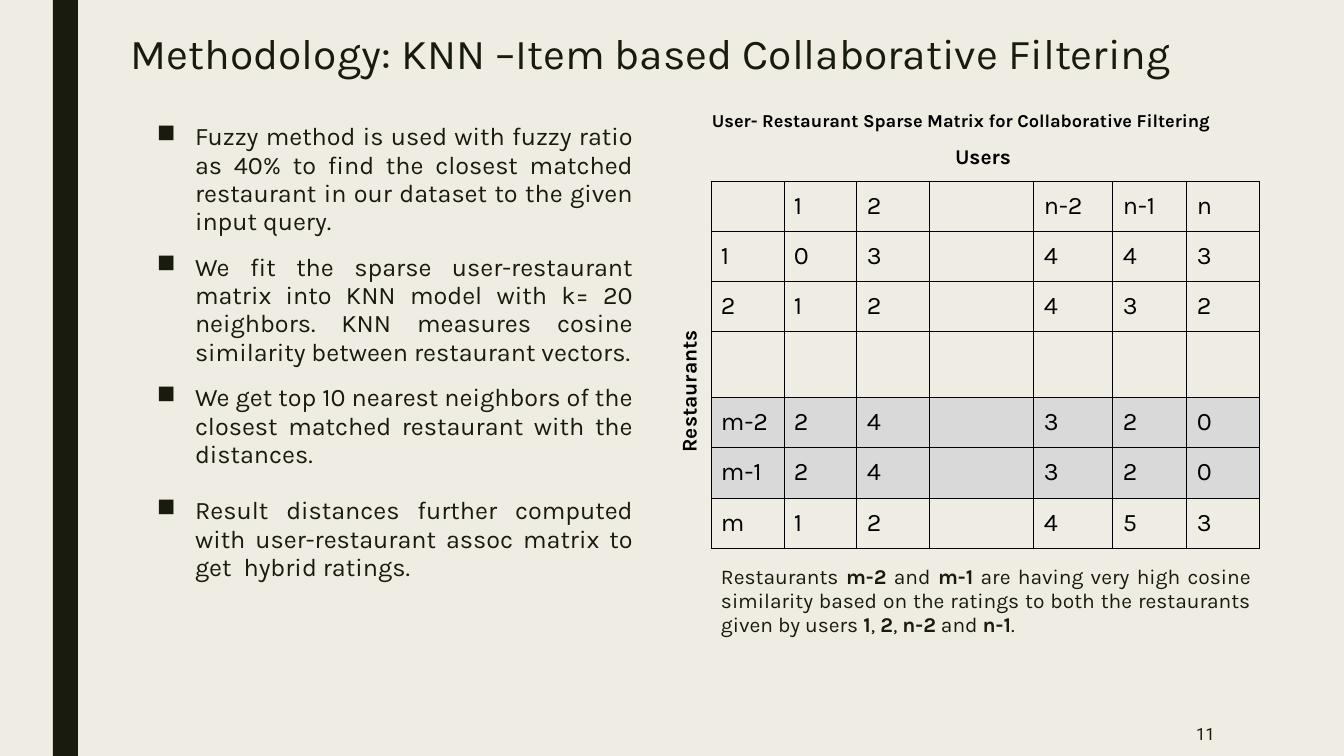
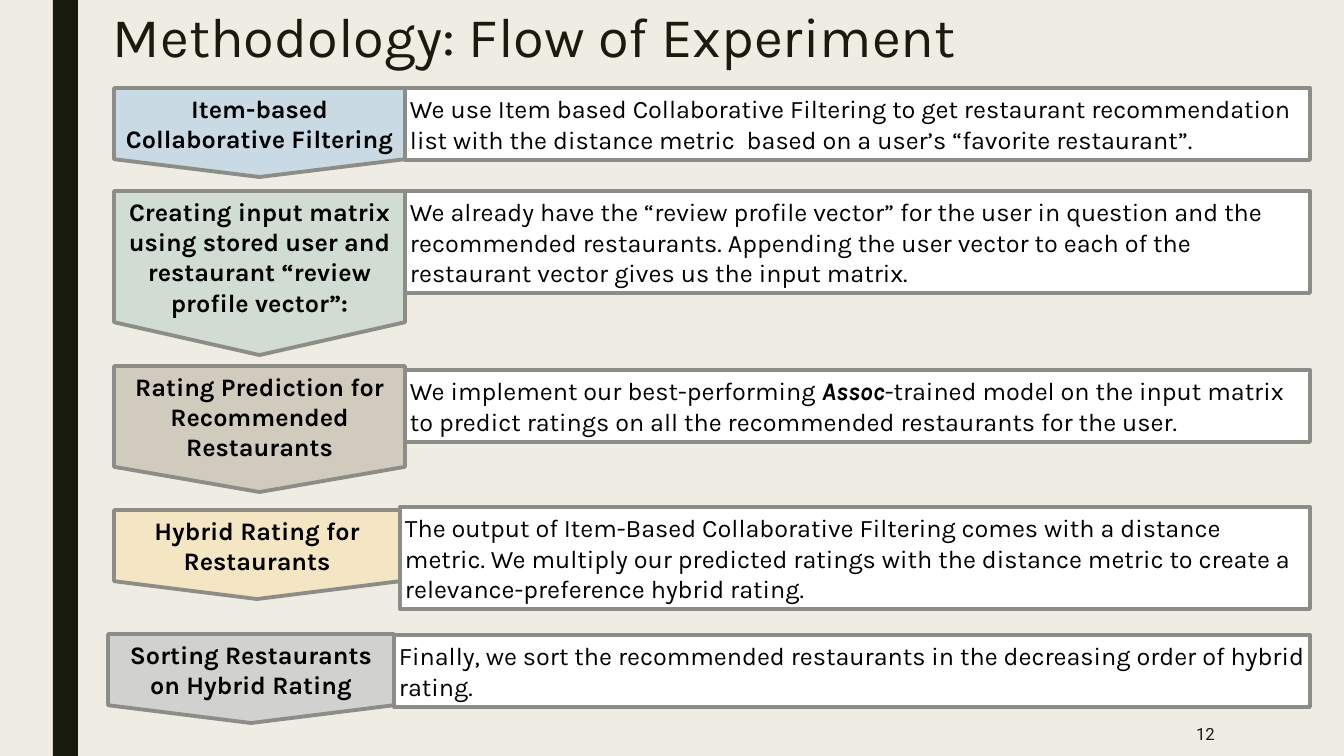
import lxml.etree
import pptx
import pptx.dml.color
import pptx.enum.shapes
import pptx.enum.text
import pptx.oxml.ns
import pptx.util

PX = 914400 / 100.8
SLIDE_WIDTH, SLIDE_HEIGHT = 1344, 756
FONT = "Karla"
COLORS = {
    "paper": "EFEDE3", "ink": "191B0E", "black": "000000", "white": "FFFFFF",
    "border": "8C8D86", "similar": "D9D9D9", "blue": "C9DAE4", "green": "D1DDD2",
    "tan": "D1CBBE", "yellow": "F5E6C3", "gray": "D1D1CF",
}
SHAPE = pptx.enum.shapes.MSO_SHAPE
ALIGN = pptx.enum.text.PP_ALIGN
ANCHOR = pptx.enum.text.MSO_ANCHOR

# Words between asterisks are emphasised.
METHOD_BULLETS = [
    ("Fuzzy method is used with fuzzy ratio as 40% to find the closest matched "
     "restaurant in our dataset to the given input query.", 0),
    ("We fit the sparse user-restaurant matrix into KNN model with k= 20 neighbors. "
     "KNN measures cosine similarity between restaurant vectors.", 12),
    ("We get top 10 nearest neighbors of the closest matched restaurant with the "
     "distances.", 12),
    ("Result distances further computed with user-restaurant assoc matrix to "
     "get  hybrid ratings.", 20),
]
MATRIX = [
    ["", "1", "2", "", "n-2", "n-1", "n"],
    ["1", "0", "3", "", "4", "4", "3"],
    ["2", "1", "2", "", "4", "3", "2"],
    [""] * 7,
    ["m-2", "2", "4", "", "3", "2", "0"],
    ["m-1", "2", "4", "", "3", "2", "0"],
    ["m", "1", "2", "", "4", "5", "3"],
]
MATRIX_WIDTHS = [73, 73, 73, 104, 79, 74, 73]
MATRIX_HEIGHTS = [50, 50, 50, 66, 50, 50, 50]
SIMILAR_ROWS = ("m-2", "m-1")
MATRIX_NOTE = (
    "Restaurants *m-2* and *m-1* are having very high cosine similarity based on the "
    "ratings to both the restaurants given by users *1*, *2*, *n-2* and *n-1*."
)

STEPS_RIGHT = 1310
# label, colour, (left, top, height) of the label, description, (left, top, height) of it
STEPS = [
    ("Item-based Collaborative Filtering", "blue", (114, 88, 89),
     "We use Item based Collaborative Filtering to get restaurant recommendation list "
     "with the distance metric  based on a user’s “favorite restaurant”.",
     (405, 88, 72)),
    ("Creating input matrix using stored user and restaurant “review profile vector”:",
     "green", (114, 191, 164),
     "We already have the “review profile vector” for the user in question and the "
     "recommended restaurants. Appending the user vector to each of the restaurant "
     "vector gives us the input matrix.",
     (405, 191, 102)),
    ("Rating Prediction for Recommended Restaurants", "tan", (114, 366, 126),
     "We implement our best-performing *Assoc*-trained model on the input matrix to "
     "predict ratings on all the recommended restaurants for the user.",
     (405, 370, 72)),
    ("Hybrid Rating for Restaurants", "yellow", (114, 510, 89),
     "The output of Item-Based Collaborative Filtering comes with a distance metric. "
     "We multiply our predicted ratings with the distance metric to create a "
     "relevance-preference hybrid rating.",
     (400, 507, 102)),
    ("Sorting Restaurants on Hybrid Rating", "gray", (108, 634, 89),
     "Finally, we sort the recommended restaurants in the decreasing order of hybrid "
     "rating.",
     (394, 635, 72)),
]


def px(length):
    return pptx.util.Emu(round(length * PX))


def rgb(name):
    return pptx.dml.color.RGBColor.from_string(COLORS[name])


def write(para, text, size=18, color="black", font=FONT, bold=False, italic=False,
          align=None, line_spacing=None, space_before=0):
    """Fill a paragraph; italic applies to emphasised words only."""
    if align is not None:
        para.alignment = align
    if line_spacing:
        para.line_spacing = line_spacing
    if space_before:
        para.space_before = pptx.util.Pt(space_before)
    para.font.size = pptx.util.Pt(size)
    for position, part in enumerate(text.split("*")):
        if not part:
            continue
        emphasised = position % 2 == 1
        span = para.add_run()
        span.text = part
        span.font.name = font
        span.font.size = pptx.util.Pt(size)
        span.font.color.rgb = rgb(color)
        span.font.bold = bold or emphasised
        span.font.italic = italic and emphasised


def set_frame(frame, inset, anchor=ANCHOR.TOP, wrap=True):
    frame.word_wrap = wrap
    frame.vertical_anchor = anchor
    frame.margin_left = frame.margin_right = px(inset)
    frame.margin_top = frame.margin_bottom = px(inset)


def add_text(slide, area, text, inset=10, anchor=ANCHOR.TOP, wrap=True, **style):
    box = slide.shapes.add_textbox(*map(px, area))
    set_frame(box.text_frame, inset, anchor, wrap)
    write(box.text_frame.paragraphs[0], text, **style)
    return box


def add_block(slide, kind, area, fill, border=None):
    block = slide.shapes.add_shape(kind, *map(px, area))
    block.shadow.inherit = False
    block.fill.solid()
    block.fill.fore_color.rgb = rgb(fill)
    if border:
        block.line.color.rgb = rgb(border)
        block.line.width = pptx.util.Pt(2.75)
    else:
        block.line.fill.background()
    return block


def add_page(deck, number, title, title_area, title_size):
    page = deck.slides.add_slide(deck.slide_layouts[6])
    add_block(page, SHAPE.RECTANGLE, (53, 0, 25, SLIDE_HEIGHT), "ink")
    add_text(page, title_area, title, inset=5, size=title_size, color="ink",
             line_spacing=0.89)
    add_text(page, (1190, 719, 30, 29), str(number), inset=5, anchor=ANCHOR.MIDDLE,
             wrap=False, size=12, color="ink", font="Roboto", align=ALIGN.RIGHT)
    return page


def add_bullets(slide, area, items):
    box = slide.shapes.add_textbox(*map(px, area))
    frame = box.text_frame
    set_frame(frame, 5)
    for index, (text, gap) in enumerate(items):
        para = frame.add_paragraph() if index else frame.paragraphs[0]
        properties = para._p.get_or_add_pPr()
        properties.set("marL", str(px(50)))
        properties.set("indent", str(px(-38)))
        bullet = lxml.etree.SubElement(properties, pptx.oxml.ns.qn("a:buChar"))
        bullet.set("char", "■")
        write(para, text, color="ink", align=ALIGN.JUSTIFY, line_spacing=0.94,
              space_before=gap)


def set_borders(cell, color, points):
    properties = cell._tc.get_or_add_tcPr()
    for side in ("lnL", "lnR", "lnT", "lnB"):
        line = lxml.etree.SubElement(properties, pptx.oxml.ns.qn("a:" + side))
        line.set("w", str(pptx.util.Pt(points)))
        fill = lxml.etree.SubElement(line, pptx.oxml.ns.qn("a:solidFill"))
        tint = lxml.etree.SubElement(fill, pptx.oxml.ns.qn("a:srgbClr"))
        tint.set("val", COLORS[color])


def add_matrix(slide, left, top):
    area = (left, top, sum(MATRIX_WIDTHS), sum(MATRIX_HEIGHTS))
    table = slide.shapes.add_table(len(MATRIX), len(MATRIX_WIDTHS), *map(px, area)).table
    table.first_row = table.horz_banding = False
    for column, width in zip(table.columns, MATRIX_WIDTHS):
        column.width = px(width)
    for row, height, values in zip(table.rows, MATRIX_HEIGHTS, MATRIX):
        row.height = px(height)
        for cell, value in zip(row.cells, values):
            cell.margin_left = cell.margin_right = px(10)
            cell.margin_top = cell.margin_bottom = px(10)
            set_borders(cell, "black", 0.75)
            if values[0] in SIMILAR_ROWS:
                cell.fill.solid()
                cell.fill.fore_color.rgb = rgb("similar")
            else:
                cell.fill.background()
            write(cell.text_frame.paragraphs[0], value)


def build_filtering(deck):
    page = add_page(deck, 11, "Methodology: KNN –Item based Collaborative Filtering",
                    (126, 28, 1058, 78), 30.4)
    add_bullets(page, (140, 118, 498, 520), METHOD_BULLETS)
    add_matrix(page, 711, 181)
    add_text(page, (945, 134, 109, 45), "Users", size=15, bold=True)
    side_label = add_text(page, (604, 356, 168, 45), "Restaurants", size=15, bold=True)
    side_label.rotation = 270
    add_text(page, (711, 556, 550, 93), MATRIX_NOTE, size=15, color="ink",
             align=ALIGN.JUSTIFY, line_spacing=0.94)
    add_text(page, (702, 99, 597, 42),
             "User- Restaurant Sparse Matrix for Collaborative Filtering",
             size=13, bold=True)


def build_flow(deck):
    page = add_page(deck, 12, "Methodology: Flow of Experiment", (108, 5, 1229, 83), 40)
    for label, color, label_place, description, text_place in STEPS:
        parts = [
            (SHAPE.FLOWCHART_OFFPAGE_CONNECTOR, label_place, text_place[0], color,
             label, {"bold": True, "align": ALIGN.CENTER}),
            (SHAPE.RECTANGLE, text_place, STEPS_RIGHT, "white",
             description, {"italic": True, "align": ALIGN.LEFT}),
        ]
        for kind, (left, top, height), right, fill, text, style in parts:
            block = add_block(page, kind, (left, top, right - left, height), fill, "border")
            set_frame(block.text_frame, 5, ANCHOR.MIDDLE)
            write(block.text_frame.paragraphs[0], text, **style)


def main():
    deck = pptx.Presentation()
    deck.slide_width, deck.slide_height = px(SLIDE_WIDTH), px(SLIDE_HEIGHT)
    background = deck.slide_master.background.fill
    background.solid()
    background.fore_color.rgb = rgb("paper")
    build_filtering(deck)
    build_flow(deck)
    deck.save("out.pptx")


if __name__ == "__main__":
    main()
